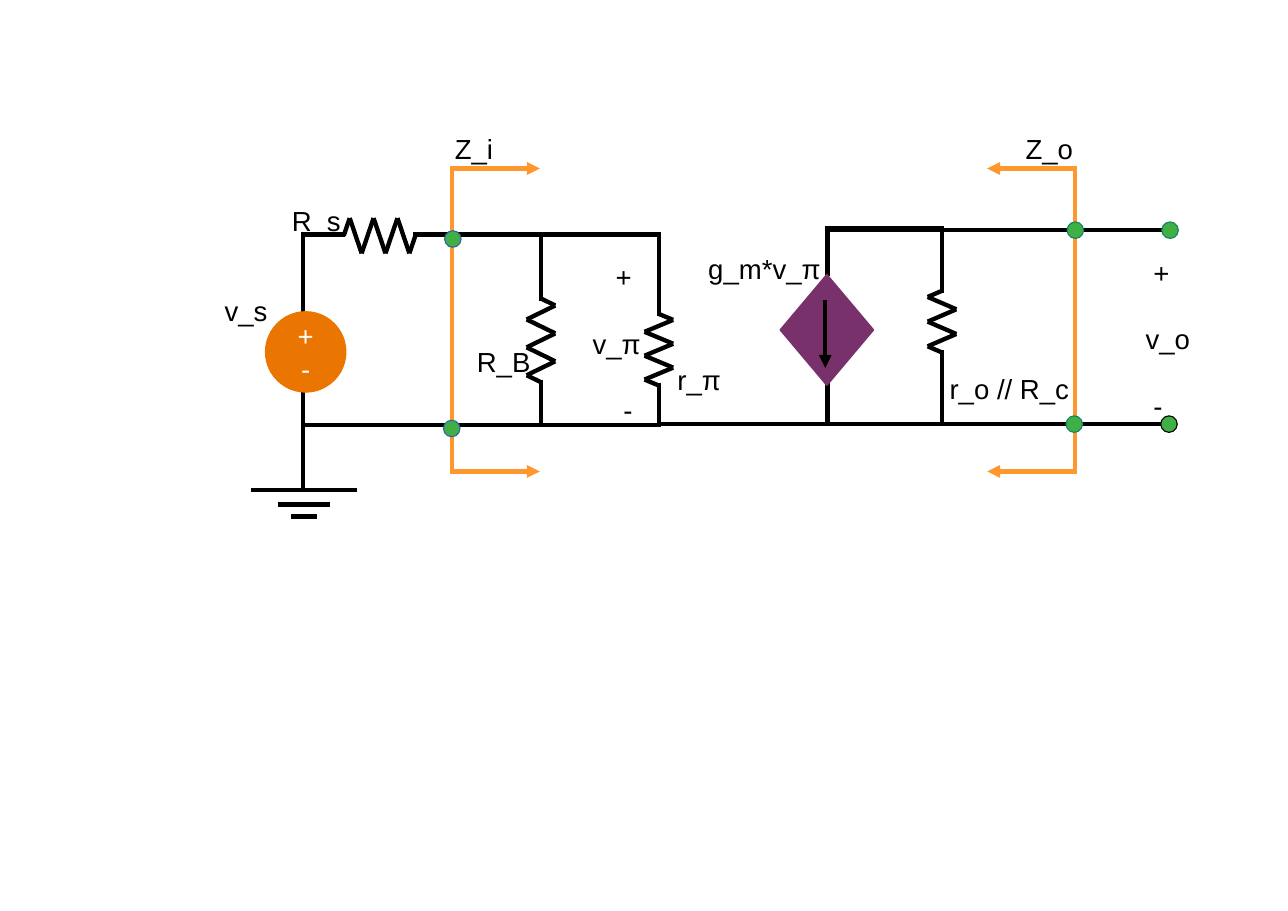
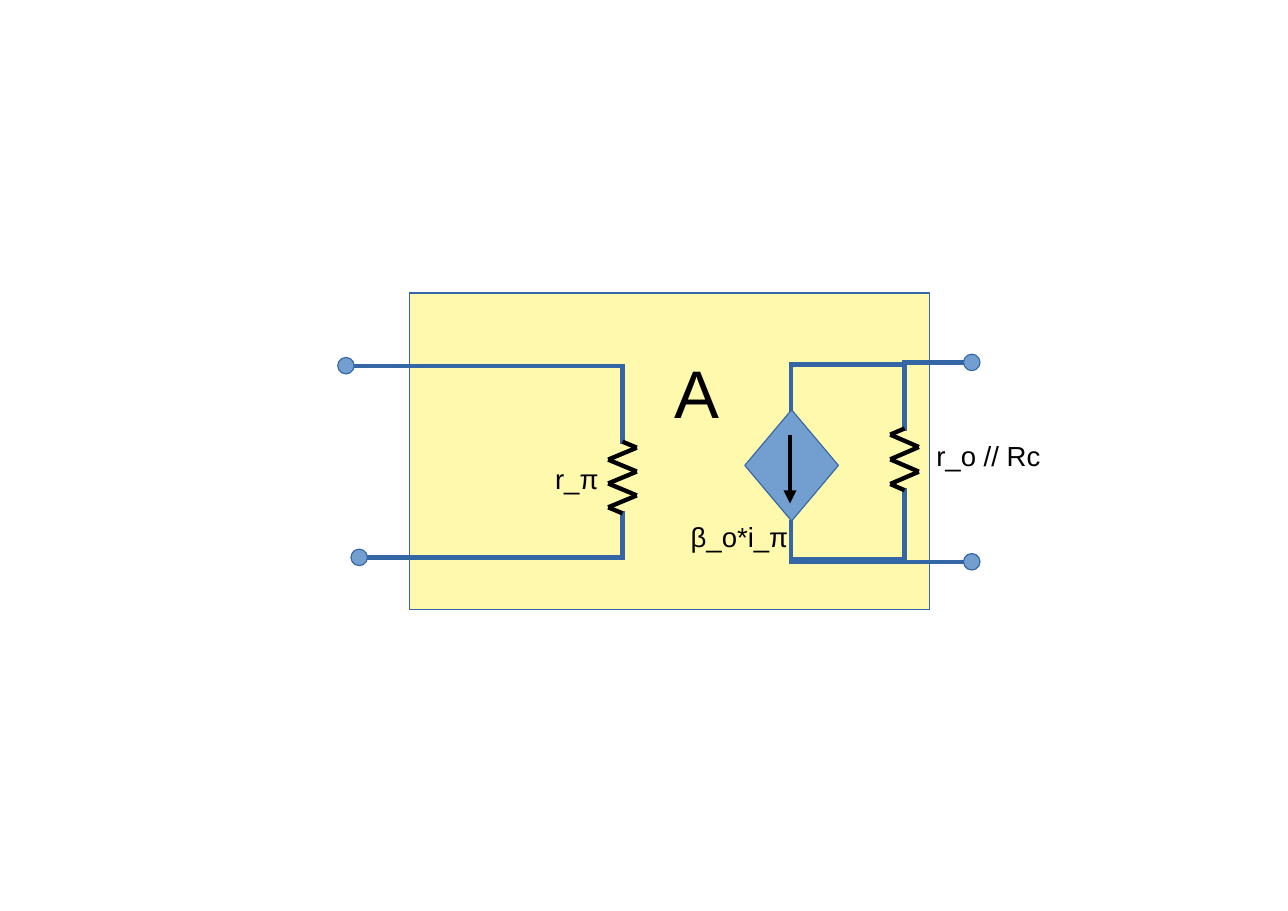
from itertools import pairwise

from lxml.etree import SubElement
from pptx import Presentation
from pptx.dml.color import RGBColor
from pptx.enum.shapes import MSO_CONNECTOR, MSO_SHAPE
from pptx.enum.text import MSO_ANCHOR, PP_ALIGN
from pptx.oxml.ns import qn
from pptx.util import Inches, Pt

BLACK = RGBColor(0x00, 0x00, 0x00)
WHITE = RGBColor(0xFF, 0xFF, 0xFF)
ORANGE = RGBColor(0xEA, 0x75, 0x00)
PROBE_ORANGE = RGBColor(0xFF, 0x97, 0x2F)
PURPLE = RGBColor(0x79, 0x31, 0x6B)
GREEN = RGBColor(0x3F, 0xAF, 0x46)
DARK_GREEN = RGBColor(0x15, 0x84, 0x66)
BLUE = RGBColor(0x72, 0x9F, 0xCF)
DARK_BLUE = RGBColor(0x34, 0x65, 0xA4)
YELLOW = RGBColor(0xFF, 0xF9, 0xAE)

FONT = "Arial"
LINE_WIDTH = Pt(2.83)
BLANK_LAYOUT = 6


def write_text(text_frame, text, size=18, color=BLACK, align=PP_ALIGN.LEFT,
               gap=0, indents=()):
    for index, line in enumerate(text.split("\n")):
        paragraph = text_frame.paragraphs[0] if index == 0 else text_frame.add_paragraph()
        paragraph.alignment = align
        if index and gap:
            paragraph.space_before = Pt(gap)
        if indents:
            properties = paragraph._p.get_or_add_pPr()
            properties.set("marL", str(Inches(indents[index])))
        run = paragraph.add_run()
        run.text = line
        run.font.name = FONT
        run.font.size = Pt(size)
        run.font.color.rgb = color


def add_label(slide, text, left, top, width, height=0.62, **text_format):
    box = slide.shapes.add_textbox(Inches(left), Inches(top), Inches(width), Inches(height))
    box.text_frame.word_wrap = True
    write_text(box.text_frame, text, **text_format)


def add_shape(slide, kind, left, top, width, height, fill, outline):
    shape = slide.shapes.add_shape(kind, Inches(left), Inches(top), Inches(width), Inches(height))
    shape.shadow.inherit = False
    shape.fill.solid()
    shape.fill.fore_color.rgb = fill
    shape.line.color.rgb = outline
    shape.line.width = Pt(0)
    return shape


def add_line(shapes, start, end, color=BLACK, arrow=False, cap="flat"):
    connector = shapes.add_connector(
        MSO_CONNECTOR.STRAIGHT, *(Inches(value) for value in (*start, *end)))
    connector.line.color.rgb = color
    connector.line.width = LINE_WIDTH
    properties = connector.element.spPr
    outline = properties.find(qn("a:ln"))
    outline.set("cap", cap)
    if arrow:
        SubElement(outline, qn("a:tailEnd"), type="triangle")
    SubElement(properties, qn("a:effectLst"))


def add_wire(slide, *points, color=BLACK):
    for start, end in pairwise(points):
        add_line(slide.shapes, start, end, color, cap="sq")


def add_resistor(slide, start, end, swings, swing):
    (left, top), (right, bottom) = start, end
    vertical = left == right
    step = ((bottom - top) if vertical else (right - left)) / swings
    offsets = [(0, 0)]
    offsets += [((index + 0.5) * step, swing * (-1) ** index) for index in range(swings)]
    offsets.append((swings * step, 0))
    points = [(left + side, top + along) if vertical else (left + along, top + side)
              for along, side in offsets]
    group = slide.shapes.add_group_shape()
    for first, second in pairwise(points):
        add_line(group.shapes, first, second)


def add_terminal(slide, center_x, center_y, fill, outline, diameter=0.15):
    add_shape(slide, MSO_SHAPE.OVAL, center_x - diameter / 2, center_y - diameter / 2,
              diameter, diameter, fill, outline)


def add_current_source(slide, left, top, fill, outline):
    add_shape(slide, MSO_SHAPE.DIAMOND, left, top, 0.85, 1.01, fill, outline)
    arrow_x = left + 0.41
    add_line(slide.shapes, (arrow_x, top + 0.23), (arrow_x, top + 0.85), arrow=True)


def add_voltage_source(slide, left, top, diameter):
    circle = add_shape(slide, MSO_SHAPE.OVAL, left, top, diameter, diameter, ORANGE, ORANGE)
    circle.text_frame.word_wrap = False
    circle.text_frame.vertical_anchor = MSO_ANCHOR.MIDDLE
    write_text(circle.text_frame, "+\n-", color=WHITE, align=PP_ALIGN.CENTER)


def add_ground(slide, center_x, top):
    group = slide.shapes.add_group_shape()
    for drop, width in ((0, 0.96), (0.13, 0.47), (0.24, 0.23)):
        add_line(group.shapes, (center_x - width / 2, top + drop),
                 (center_x + width / 2, top + drop))


def add_impedance_probe(slide, x, reach, top=1.53, bottom=4.28):
    add_wire(slide, (x, top), (x, bottom), color=PROBE_ORANGE)
    for y in (top, bottom):
        add_line(slide.shapes, (x, y), (x + reach, y), PROBE_ORANGE, arrow=True)


def build_amplifier_circuit(slide):
    add_wire(slide, (2.75, 2.83), (2.75, 2.13), (3.11, 2.13))
    add_wire(slide, (3.77, 2.13), (5.98, 2.13), (5.98, 2.85))
    add_wire(slide, (2.75, 3.56), (2.75, 4.45))
    add_wire(slide, (2.75, 3.86), (5.98, 3.86), (5.98, 3.5))
    add_wire(slide, (4.91, 2.16), (4.91, 2.71))
    add_wire(slide, (4.91, 3.47), (4.91, 3.85))
    add_wire(slide, (7.51, 2.49), (7.51, 2.07), (8.55, 2.07), (8.55, 2.64))
    add_wire(slide, (7.51, 2.09), (10.55, 2.09))
    add_wire(slide, (5.98, 3.85), (10.54, 3.85))
    for x, top in ((7.51, 3.5), (8.55, 3.2)):
        add_wire(slide, (x, top), (x, 3.85))

    add_resistor(slide, (3.12, 2.14), (3.77, 2.14), 6, -0.16)
    add_resistor(slide, (4.91, 2.71), (4.91, 3.47), 6, 0.13)
    add_resistor(slide, (5.98, 2.85), (5.98, 3.5), 6, 0.13)
    add_resistor(slide, (8.55, 2.64), (8.55, 3.2), 5, -0.13)
    add_voltage_source(slide, 2.41, 2.83, 0.73)
    add_current_source(slide, 7.08, 2.49, PURPLE, PURPLE)
    add_ground(slide, 2.76, 4.45)
    add_impedance_probe(slide, 4.1, 0.8)
    add_impedance_probe(slide, 9.76, -0.8)

    for text, left, top, width in (
        ("R_s", 2.55, 1.8, 0.75),
        ("v_s", 1.94, 2.62, 1.08),
        ("R_B", 4.23, 3.08, 0.8),
        ("r_π", 6.05, 3.25, 0.7),
        ("g_m*v_π", 6.33, 2.24, 1.43),
        ("r_o // R_c", 8.52, 3.33, 1.45),
        ("Z_i", 4.03, 1.15, 1.08),
        ("Z_o", 9.21, 1.15, 1.08),
    ):
        add_label(slide, text, left, top, width)
    for text, left, top, indents in (
        ("+\nv_π\n-", 5.28, 2.31, (0.21, 0, 0.28)),
        ("+\nv_o\n-", 10.3, 2.27, (0.07, 0, 0.07)),
    ):
        add_label(slide, text, left, top, 1.08, 1.49, gap=22, indents=indents)

    for x, y, outline in (
        (4.11, 2.17, DARK_BLUE),
        (4.1, 3.89, DARK_BLUE),
        (9.76, 2.09, DARK_GREEN),
        (9.75, 3.85, DARK_GREEN),
        (10.62, 2.09, DARK_GREEN),
        (10.61, 3.85, BLACK),
    ):
        add_terminal(slide, x, y, GREEN, outline)


def build_amplifier_block(slide):
    add_shape(slide, MSO_SHAPE.RECTANGLE, 3.72, 2.66, 4.72, 2.87, YELLOW, DARK_BLUE)
    for points in (
        ((3.22, 3.32), (5.65, 3.32), (5.65, 4.01)),
        ((3.34, 5.06), (5.65, 5.06), (5.65, 4.66)),
        ((7.18, 3.72), (7.18, 3.31), (8.21, 3.31), (8.21, 3.89)),
        ((7.18, 4.74), (7.18, 5.08), (8.21, 5.08), (8.21, 4.45)),
        ((8.76, 3.29), (8.21, 3.29), (8.21, 3.89)),
        ((8.76, 5.1), (7.18, 5.1), (7.18, 4.74)),
    ):
        add_wire(slide, *points, color=DARK_BLUE)

    add_resistor(slide, (5.65, 4.01), (5.65, 4.66), 6, 0.13)
    add_resistor(slide, (8.21, 3.89), (8.21, 4.45), 5, -0.13)
    add_current_source(slide, 6.76, 3.72, BLUE, DARK_BLUE)
    for x, y in ((3.14, 3.32), (3.26, 5.06), (8.82, 3.29), (8.82, 5.1)):
        add_terminal(slide, x, y, BLUE, DARK_BLUE)

    add_label(slide, "r_π", 4.94, 4.14, 0.7)
    add_label(slide, "r_o // Rc", 8.4, 3.94, 1.3)
    add_label(slide, "β_o*i_π", 6.17, 4.67, 1.2)
    add_label(slide, "A", 6.02, 3.14, 0.7, 0.88, size=44)


def main():
    presentation = Presentation()
    presentation.slide_width = Inches(11.69)
    presentation.slide_height = Inches(8.27)
    for build in (build_amplifier_circuit, build_amplifier_block):
        build(presentation.slides.add_slide(presentation.slide_layouts[BLANK_LAYOUT]))
    presentation.save("out.pptx")


if __name__ == "__main__":
    main()
